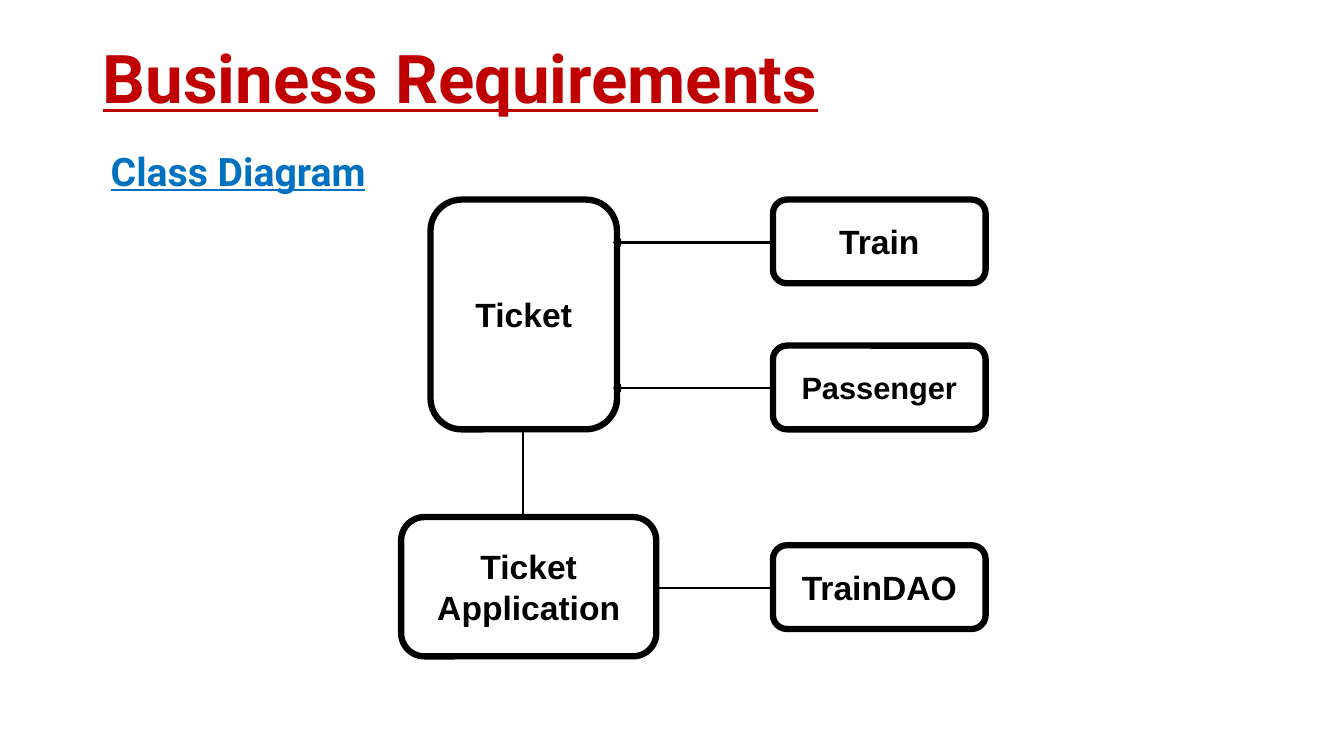
from lxml import etree
from pptx import Presentation
from pptx import util as u
from pptx.dml.color import RGBColor
from pptx.enum import shapes, text
from pptx.oxml.ns import qn

COLOURS = {"ink": "000000", "paper": "FFFFFF", "title": "C00000", "subtitle": "0070C0"}


def colour(name):
    return RGBColor.from_string(COLOURS[name])


class ClassDiagram:
    """Holds the current slide and its style; all lengths are in centimetres."""

    border, link_width = u.Pt(4.5), u.Pt(1.5)
    heading_font, box_font = "Roboto", "Arial"

    def __init__(self, slide):
        self.slide = slide

    def add_words(self, frame, words, font, size, ink, underline=False):
        frame.word_wrap = True
        paragraph = frame.paragraphs[0]
        run = paragraph.add_run()
        run.text = words
        run.font.name, run.font.size = font, u.Pt(size)
        run.font.bold, run.font.underline = True, underline
        run.font.color.rgb = colour(ink)
        return paragraph

    def heading(self, words, place, size, ink, anchor=text.MSO_ANCHOR.TOP, spacing=1.0):
        frame = self.slide.shapes.add_textbox(*map(u.Cm, place)).text_frame
        frame.vertical_anchor = anchor
        paragraph = self.add_words(frame, words, self.heading_font, size, ink, underline=True)
        paragraph.line_spacing = spacing

    def class_box(self, name, place, size=24):
        box = self.slide.shapes.add_shape(
            shapes.MSO_SHAPE.ROUNDED_RECTANGLE, *map(u.Cm, place))
        box.shadow.inherit = False
        box.fill.solid()
        box.fill.fore_color.rgb = colour("paper")
        box.line.color.rgb = colour("ink")
        box.line.width = self.border
        box.text_frame.vertical_anchor = text.MSO_ANCHOR.MIDDLE
        paragraph = self.add_words(box.text_frame, name, self.box_font, size, "ink")
        paragraph.alignment = text.PP_ALIGN.CENTER

    def link(self, start, end, arrow=False):
        link = self.slide.shapes.add_connector(
            shapes.MSO_CONNECTOR.STRAIGHT, *map(u.Cm, (*start, *end)))
        link.line.color.rgb = colour("ink")
        link.line.width = self.link_width
        properties = link._element.spPr
        if arrow:
            etree.SubElement(properties.find(qn("a:ln")), qn("a:tailEnd"), type="triangle")
        etree.SubElement(properties, qn("a:effectLst"))


def main():
    deck = Presentation()
    deck.slide_width, deck.slide_height = u.Cm(33.87), u.Cm(19.05)
    diagram = ClassDiagram(deck.slides.add_slide(deck.slide_layouts[6]))

    diagram.heading("Business Requirements", (2.34, 1.02, 29.21, 2.08), 48, "title",
                    anchor=text.MSO_ANCHOR.MIDDLE, spacing=0.9)

    diagram.class_box("Ticket", (10.85, 5.03, 4.7, 5.79))
    side_left, side_width, side_height = 19.48, 5.36, 2.11
    for name, top, size in (("Train", 5.03, 24), ("Passenger", 8.71, 22),
                            ("TrainDAO", 13.74, 24)):
        diagram.class_box(name, (side_left, top, side_width, side_height), size)
    diagram.class_box("Ticket Application", (10.11, 13.03, 6.43, 3.51))

    for link_y in (6.11, 9.78):
        diagram.link((side_left, link_y), (15.44, link_y), arrow=True)
    diagram.link((16.56, 14.81), (side_left, 14.81))
    diagram.link((13.18, 10.74), (13.18, 13.06))

    diagram.heading("Class Diagram", (2.54, 3.58, 7.95, 1.45), 28, "subtitle")
    deck.save("out.pptx")


if __name__ == "__main__":
    main()
